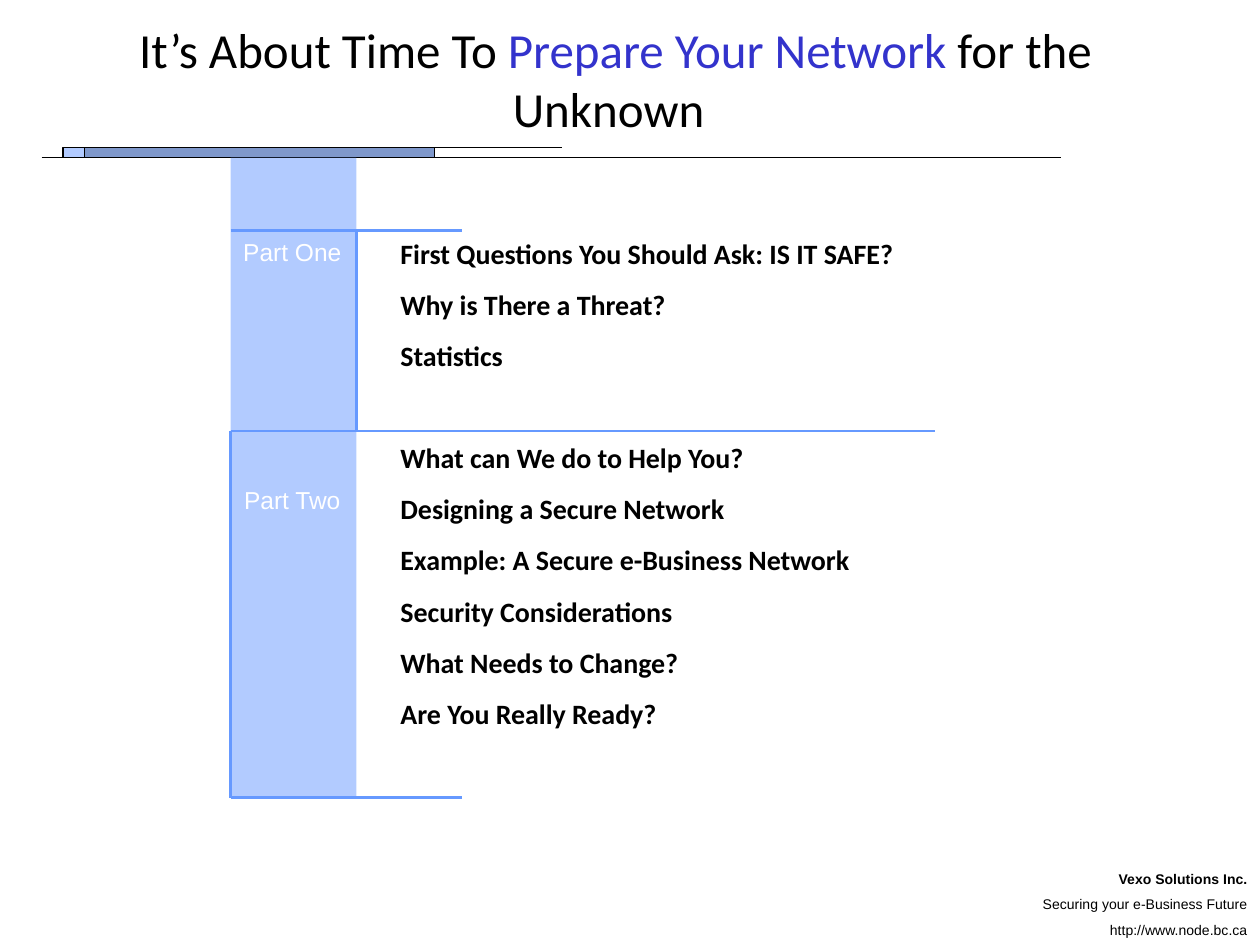
from lxml import etree
from pptx import Presentation
from pptx.dml.color import RGBColor
from pptx.enum.shapes import MSO_CONNECTOR, MSO_SHAPE
from pptx.enum.text import MSO_ANCHOR, PP_ALIGN
from pptx.oxml.ns import qn
from pptx.util import Inches, Pt

COLORS = {"black": "000000", "white": "FFFFFF", "accent": "3333CC",
          "navy": "003399", "sky": "6699FF"}

TITLE = [("It’s About Time To ", "black"), ("Prepare Your Network", "accent"),
         (" for the Unknown", "black")]
PARTS = [
    ("Part One", 1.83, ["First Questions You Should Ask: IS IT SAFE?",
                        "Why is There a Threat?",
                        "Statistics"]),
    ("Part Two", 3.8, ["What can We do to Help You?",
                       "Designing a Secure Network",
                       "Example: A Secure e-Business Network",
                       "Security Considerations",
                       "What Needs to Change?",
                       "Are You Really Ready?"]),
]
FOOTER = ["Vexo Solutions Inc.", "Securing your e-Business Future",
          "http://www.node.bc.ca"]

# Edges shared by the band, the frame lines and the title rule
LEFT, RIGHT = 1.83, 2.83
RULE_Y, TOP, MIDDLE, BOTTOM = 1.25, 1.83, 3.42, 6.33
BAR_X, BAR_Y, BAR_H = 0.5, 1.17, 0.08

RULES = [(0.33, RULE_Y, 8.42, RULE_Y), (BAR_X, BAR_Y, 4.46, BAR_Y)]
BARS = [(0.67, 2.78, "navy"), (BAR_X, 0.17, "sky")]
FRAME = [(LEFT, TOP, 3.67, TOP), (LEFT, MIDDLE, 7.42, MIDDLE),
         (LEFT, BOTTOM, 3.67, BOTTOM), (LEFT, BOTTOM, LEFT, MIDDLE),
         (RIGHT, MIDDLE, RIGHT, TOP)]


def rgb(name):
    return RGBColor.from_string(COLORS[name])


def add_line(s, ends, color, width):
    line = s.shapes.add_connector(MSO_CONNECTOR.STRAIGHT, *map(Inches, ends))
    line.line.color.rgb = rgb(color)
    line.line.width = Pt(width)
    etree.SubElement(line._element.spPr, qn("a:effectLst"))


def add_tinted_rect(s, x, y, w, h, color, outline=None):
    """Add a rectangle with a half-transparent fill."""
    sp = s.shapes.add_shape(MSO_SHAPE.RECTANGLE, *map(Inches, (x, y, w, h)))
    sp.shadow.inherit = False
    sp.fill.solid()
    sp.fill.fore_color.rgb = rgb(color)
    srgb = sp._element.spPr.find(".//" + qn("a:srgbClr"))
    etree.SubElement(srgb, qn("a:alpha"), val="50000")
    if outline:
        sp.line.color.rgb = rgb(outline)
        sp.line.width = Pt(0.75)
    else:
        sp.line.fill.background()


def add_text_frame(s, x, y, w, h, wrap=True):
    tf = s.shapes.add_textbox(*map(Inches, (x, y, w, h))).text_frame
    tf.word_wrap = wrap
    return tf


def style(p, font, size, color="black", bold=False, align=PP_ALIGN.LEFT):
    p.alignment = align
    p.font.name = font
    p.font.size = Pt(size)
    p.font.bold = bold
    p.font.color.rgb = rgb(color)


def next_paragraph(tf, i):
    return tf.add_paragraph() if i else tf.paragraphs[0]


def add_title(s):
    tf = add_text_frame(s, 0.58, 0, 8.5, 1.25)
    tf.vertical_anchor = MSO_ANCHOR.MIDDLE
    p = tf.paragraphs[0]
    p._p.get_or_add_pPr().set("indent", str(Inches(0.11)))
    style(p, "Calibri", 28, align=PP_ALIGN.CENTER)
    for text, color in TITLE:
        r = p.add_run()
        r.text = text
        r.font.color.rgb = rgb(color)


def add_footer(s):
    tf = add_text_frame(s, 8.17, 6.86, 1.83, 0.64)
    for i, text in enumerate(FOOTER):
        p = next_paragraph(tf, i)
        p.text = text
        style(p, "Arial", 8, bold=i == 0, align=PP_ALIGN.RIGHT)
        if i:
            p.space_before = Pt(5)


def add_agenda(s):
    for label, y, _ in PARTS:
        p = add_text_frame(s, LEFT, y, 0.98, 0.34, wrap=False).paragraphs[0]
        p.text = label
        style(p, "Arial", 14, "white", align=PP_ALIGN.CENTER)

    tf = add_text_frame(s, 3.08, TOP, 5, 4.29)
    rows = [(text, j == 0) for _, _, items in PARTS for j, text in enumerate(items)]
    for i, (text, starts_part) in enumerate(rows):
        p = next_paragraph(tf, i)
        p.text = text
        style(p, "Calibri", 16, bold=True)
        if i:
            p.space_before = Pt(39 if starts_part else 10)


def main():
    prs = Presentation()
    prs.slide_width, prs.slide_height = Inches(10), Inches(7.5)
    s = prs.slides.add_slide(prs.slide_layouts[6])

    add_footer(s)
    add_title(s)
    for ends in RULES:
        add_line(s, ends, "black", 0.75)
    for x, w, color in BARS:
        add_tinted_rect(s, x, BAR_Y, w, BAR_H, color, "black")
    add_tinted_rect(s, LEFT, RULE_Y, RIGHT - LEFT, BOTTOM - RULE_Y, "sky")
    for ends in FRAME:
        add_line(s, ends, "sky", 1.5)
    add_agenda(s)

    prs.save("out.pptx")


if __name__ == "__main__":
    main()
